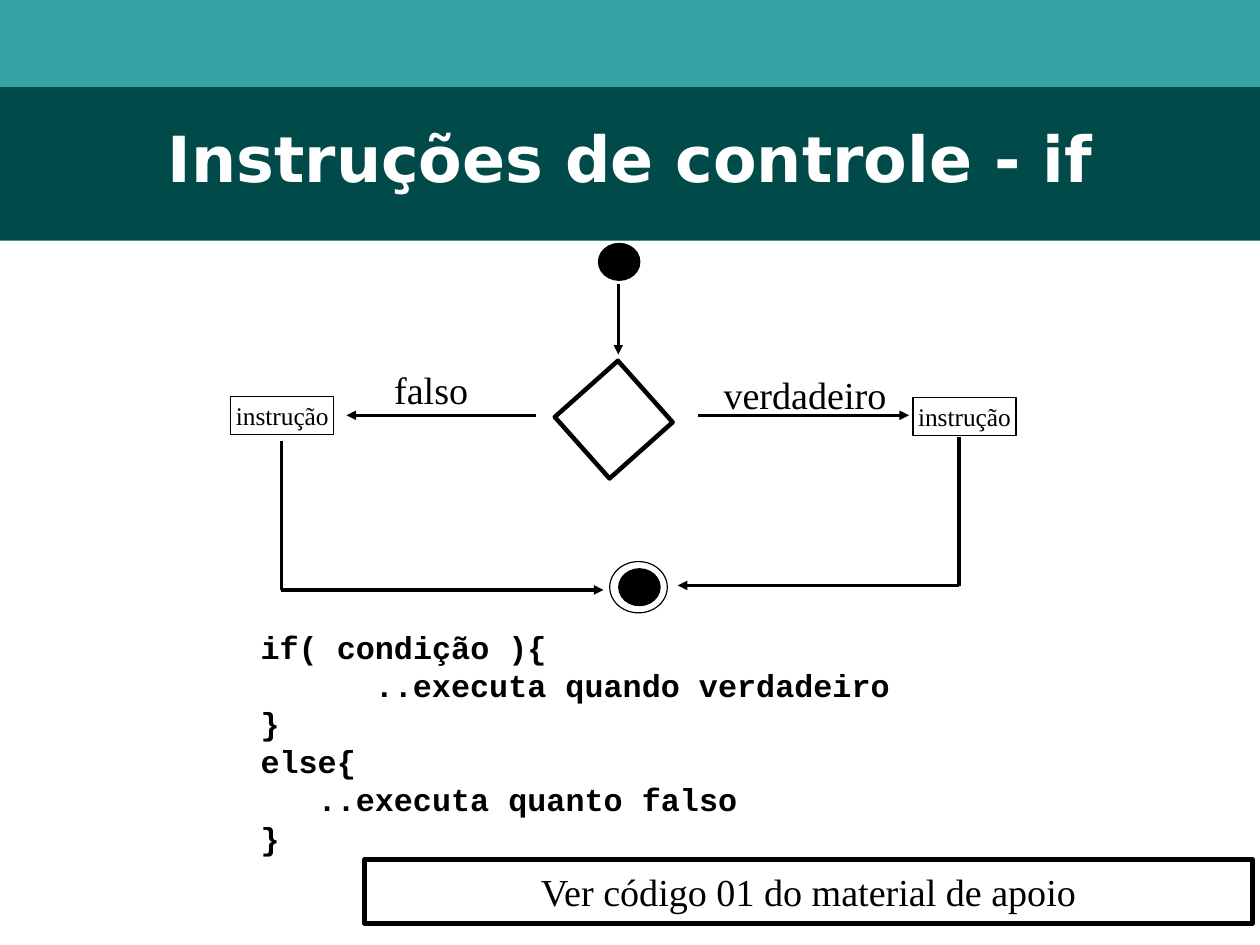
from pptx import Presentation
from pptx.dml.color import RGBColor
from pptx.enum.shapes import MSO_CONNECTOR as LINK, MSO_SHAPE as FORM
from pptx.enum.text import MSO_ANCHOR as ANCHOR, MSO_AUTO_SIZE as FIT, PP_ALIGN as ALIGN
from pptx.util import Cm, Pt
from lxml.etree import SubElement
from pptx.oxml.ns import qn

BLACK = RGBColor(0, 0, 0)
WHITE = RGBColor(255, 255, 255)
DARK = RGBColor(0x00, 0x4A, 0x4A)
TEAL = RGBColor(0x33, 0xA3, 0xA3)
SERIF = "Times New Roman"

deck = Presentation()
deck.slide_width, deck.slide_height = Cm(28), Cm(21)
slide = deck.slides.add_slide(deck.slide_layouts[5])
shapes = slide.shapes


def draw(form, box, fill=None, line=None, width=0):
    shape = shapes.add_shape(form, *map(Cm, box))
    shape.shadow.inherit = False
    if fill is None:
        shape.fill.background()
    else:
        shape.fill.solid()
        shape.fill.fore_color.rgb = fill
    if line is None:
        shape.line.fill.background()
    else:
        shape.line.color.rgb = line
        shape.line.width = Pt(width)
    return shape


def write(shape, lines, size, face=SERIF, color=BLACK, bold=False,
          align=ALIGN.CENTER, anchor=ANCHOR.MIDDLE, wrap=True):
    frame = shape.text_frame
    frame.auto_size = FIT.NONE
    frame.word_wrap = wrap
    frame.vertical_anchor = anchor
    frame.margin_left = frame.margin_right = 0
    frame.margin_top = frame.margin_bottom = 0
    for i, text in enumerate(lines):
        para = frame.add_paragraph() if i else frame.paragraphs[0]
        para.alignment = align
        run = para.add_run()
        run.text = text
        font = run.font
        font.name, font.size, font.bold = face, Pt(size), bold
        font.color.rgb = color
    return frame


# Header bands and title
draw(FORM.RECTANGLE, (0, 1.85, 28, 3.5), DARK)
draw(FORM.RECTANGLE, (0, 0, 28, 1.93), TEAL)
title = shapes.title
title.left, title.top, title.width, title.height = map(Cm, (2.05, 1.75, 23.9, 3.5))
write(title, ["Instruções de controle - if"], 40, "DejaVu Sans", WHITE, True)
shapes.element.append(title.element)

# Decision, start and end nodes
choice = draw(FORM.RECTANGLE, (12.7, 8.41, 1.88, 1.83), WHITE, BLACK, 2.83)
choice.rotation = 318.3
draw(FORM.OVAL, (13.3, 5.41, 0.92, 0.82), BLACK, BLACK)
draw(FORM.OVAL, (13.55, 12.48, 1.28, 1.14), None, BLACK)
draw(FORM.OVAL, (13.75, 12.64, 0.92, 0.82), BLACK, BLACK)

# Flow lines: start, end, arrowhead
for x1, y1, x2, y2, arrow in (
    (13.74, 6.32, 13.74, 7.88, True),
    (15.52, 9.23, 20.2, 9.23, True),
    (11.91, 9.23, 7.7, 9.23, True),
    (6.25, 9.8, 6.25, 13.11, False),
    (21.31, 9.72, 21.31, 13.02, False),
    (6.25, 13.11, 13.41, 13.11, True),
    (21.31, 13.01, 15.06, 13.01, True),
):
    flow = shapes.add_connector(LINK.STRAIGHT, Cm(x1), Cm(y1), Cm(x2), Cm(y2))
    flow.line.color.rgb = BLACK
    flow.line.width = Pt(0)
    if arrow:
        SubElement(flow.line._get_or_add_ln(), qn("a:tailEnd"), type="triangle")
    SubElement(flow.element.spPr, qn("a:effectLst"))

# Branch labels
for text, x, y, wide in (("verdadeiro", 16.08, 8.26, 3.63), ("falso", 8.76, 8.15, 1.65)):
    label = shapes.add_textbox(Cm(x), Cm(y), Cm(wide), Cm(1))
    write(label, [text], 24, align=ALIGN.LEFT, anchor=ANCHOR.TOP, wrap=False)

# Instruction boxes
for x, y in ((5.13, 8.81), (20.29, 8.84)):
    write(draw(FORM.RECTANGLE, (x, y, 2.29, 0.84), None, BLACK), ["instrução"], 16)

# Code with indented branches
code = shapes.add_textbox(Cm(5.79), Cm(13.95), Cm(20.09), Cm(5.1))
frame = write(code, ["if( condição ){", "..executa quando verdadeiro", "}",
                     "else{", "..executa quanto falso", "}"],
              20, "Courier New", bold=True, align=ALIGN.LEFT, anchor=ANCHOR.TOP)
for para, indent in zip(frame.paragraphs, (0, 2.54, 0, 0, 1.27, 0)):
    para.line_spacing = Pt(24)
    para._p.get_or_add_pPr().set("marL", str(Cm(indent)))

# Reference box
note = draw(FORM.RECTANGLE, (8.1, 19.1, 19.74, 1.42), None, BLACK, 2.83)
write(note, ["Ver código 01 do material de apoio"], 24)

deck.save("out.pptx")
